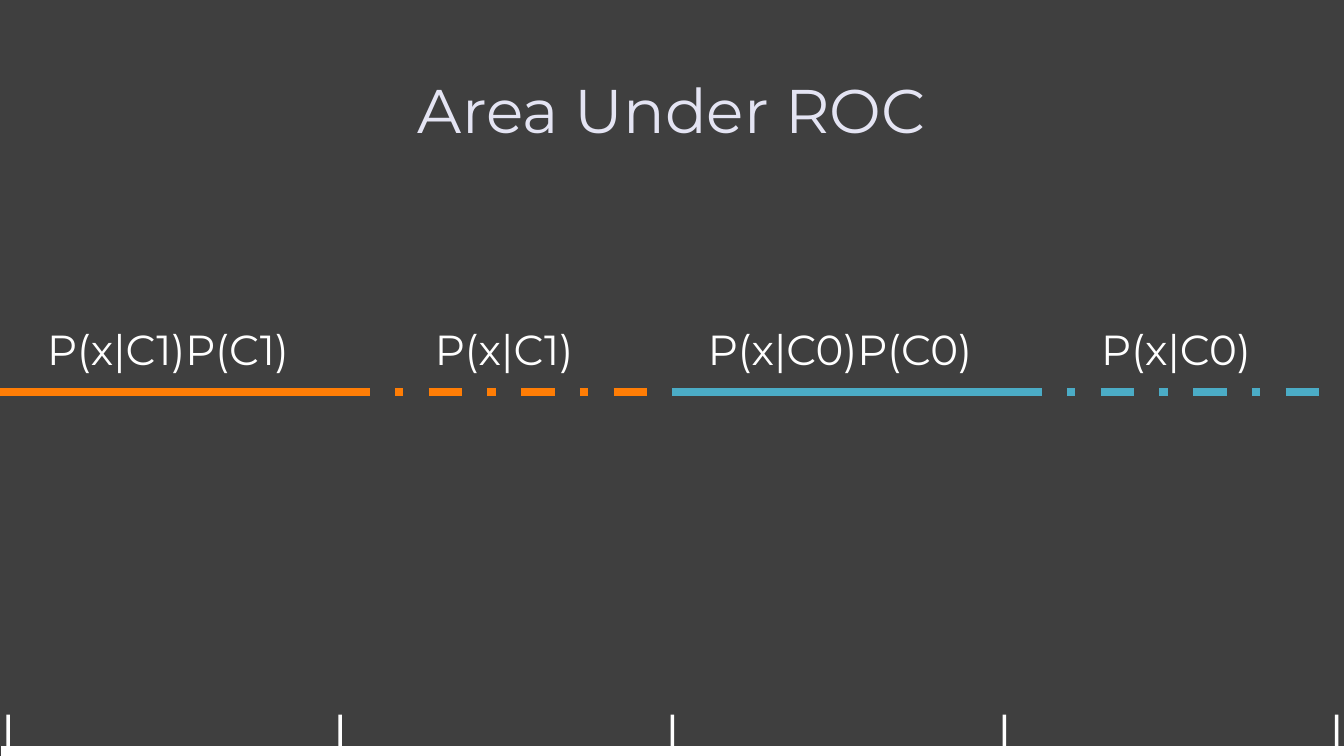
from lxml.etree import SubElement
from pptx import Presentation
from pptx.dml.color import RGBColor
from pptx.enum.dml import MSO_LINE
from pptx.enum.shapes import MSO_CONNECTOR
from pptx.enum.text import MSO_ANCHOR, PP_ALIGN
from pptx.oxml.ns import qn
from pptx.util import Cm, Pt

COLORS = {
    "background": "3F3F3F",
    "title": "E4E4F3",
    "text": "FFFFFF",
    "axis": "FFFFFF",
    "class1": "FF7D05",
    "class0": "4BACC6",
}
FONT = "Montserrat"
LEGEND = [
    ("P(x|C1)P(C1)", "class1", MSO_LINE.SOLID),
    ("P(x|C1)", "class1", MSO_LINE.DASH_DOT),
    ("P(x|C0)P(C0)", "class0", MSO_LINE.SOLID),
    ("P(x|C0)", "class0", MSO_LINE.DASH_DOT),
]


def rgb(name):
    return RGBColor.from_string(COLORS[name])


def write(tf, text, size, color):
    """Put one centred run into the first paragraph of a text frame."""
    tf.word_wrap = True
    tf.vertical_anchor = MSO_ANCHOR.MIDDLE
    p = tf.paragraphs[0]
    p.alignment = PP_ALIGN.CENTER
    r = p.add_run()
    r.text = text
    r.font.name = FONT
    r.font.size = Pt(size)
    r.font.color.rgb = rgb(color)
    return p


def add_axis(s, left, top, width, height):
    """Draw a baseline with five ticks rising from it, as one outline."""
    bar, tick, pitch, inset = Cm(0.25), Cm(0.09), Cm(8.37), Cm(0.13)
    right, bottom = left + width, top + height
    base = bottom - bar
    points = [(left, base)]
    for i in range(5):
        x = left + inset + i * pitch
        points += [(x, base), (x, top), (x + tick, top), (x + tick, base)]
    points += [(right, base), (right, bottom)]
    builder = s.shapes.build_freeform(left, bottom)
    builder.add_line_segments(points, close=True)
    sp = builder.convert_to_shape()
    sp.shadow.inherit = False
    sp.fill.solid()
    sp.fill.fore_color.rgb = rgb("axis")
    sp.line.fill.background()
    s.shapes._spTree.insert(2, sp._element)


def add_title(s, left, top, width, height):
    sp = s.shapes.title
    sp.left, sp.top, sp.width, sp.height = left, top, width, height
    p = write(sp.text_frame, "Area Under ROC", 44, "title")
    p.line_spacing = 0.9


def add_legend(s, left, top, width, height):
    """Place the labels side by side, each with its line sample."""
    col = width // len(LEGEND)
    line_y = top + Cm(4.19)
    for i, (label, color, dash) in enumerate(LEGEND):
        x = left + i * col
        tf = s.shapes.add_textbox(x, top, col, height).text_frame
        tf.margin_left = tf.margin_right = Cm(0.1)
        tf.margin_top = tf.margin_bottom = Cm(0.1)
        write(tf, label, 30, "text")
        sample = s.shapes.add_connector(
            MSO_CONNECTOR.STRAIGHT, x, line_y, x + col, line_y)
        sample.line.color.rgb = rgb(color)
        sample.line.width = Pt(6)
        sample.line.dash_style = dash
        SubElement(sample._element.spPr, qn("a:effectLst"))


def main():
    prs = Presentation()
    prs.slide_width, prs.slide_height = Cm(33.87), Cm(19.05)
    s = prs.slides.add_slide(prs.slide_layouts[5])
    s.background.fill.solid()
    s.background.fill.fore_color.rgb = rgb("background")
    add_axis(s, Cm(0.03), Cm(18.01), Cm(33.85), Cm(1.04))
    add_title(s, 0, Cm(1.02), prs.slide_width, Cm(3.68))
    add_legend(s, 0, Cm(5.69), prs.slide_width, Cm(6.2))
    prs.save("out.pptx")


if __name__ == "__main__":
    main()
